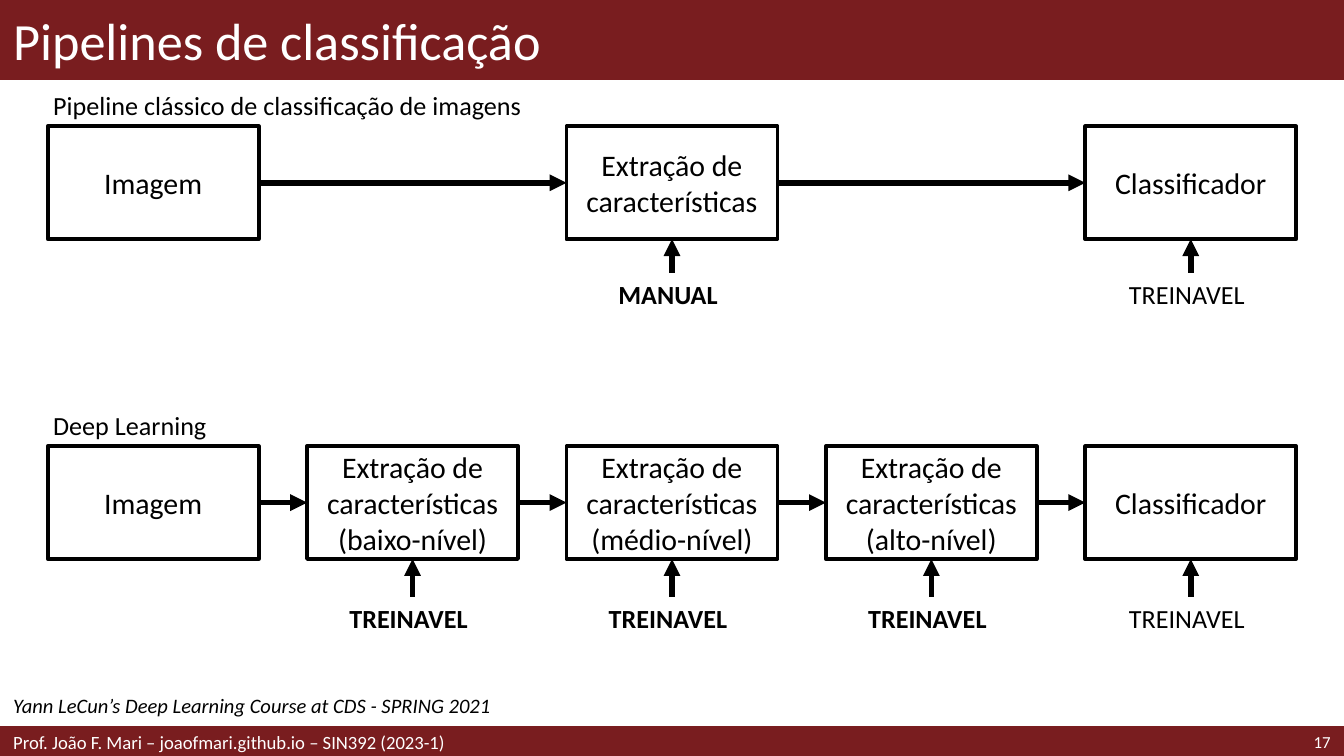
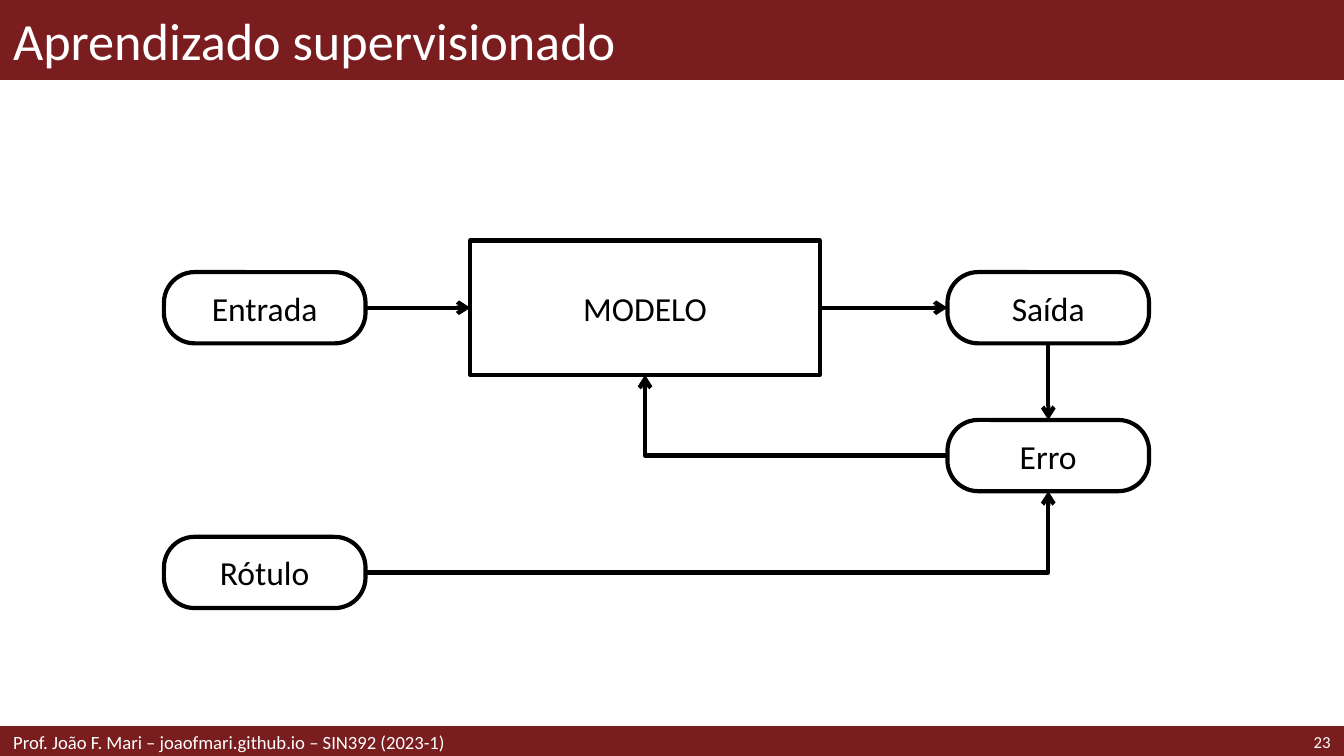
"""Builds two slides on classification pipelines and supervised learning."""
from lxml import etree
from pptx import Presentation
from pptx.dml.color import RGBColor
from pptx.enum.shapes import MSO_CONNECTOR, MSO_SHAPE
from pptx.enum.text import MSO_ANCHOR, PP_ALIGN
from pptx.oxml.ns import qn
from pptx.util import Inches, Pt

RECT, ROUND = MSO_SHAPE.RECTANGLE, MSO_SHAPE.ROUNDED_RECTANGLE
LINE, ELBOW = MSO_CONNECTOR.STRAIGHT, MSO_CONNECTOR.ELBOW
LEFT, MID, RIGHT = PP_ALIGN.LEFT, PP_ALIGN.CENTER, PP_ALIGN.RIGHT
TOP, WEST, BASE, EAST = range(4)
WINE, WHITE, BLACK = "791D1F", "FFFFFF", "000000"
FONT = "Calibri"
WIDE = 10
HIGH = WIDE * 9 / 16
HEAD, FOOT = 0.59, 0.21
rgb = RGBColor.from_string


def box(slide, area, text="", size=16, ink=BLACK, align=MID, kind=None, edge=2, fill=None):
    """Add a text box, or a shape when a kind is given."""
    area = [Inches(n) for n in area]
    if kind is None:
        item = slide.shapes.add_textbox(*area)
    else:
        item = slide.shapes.add_shape(kind, *area)
        item.shadow.inherit = False
        item.line.color.rgb = rgb(fill or BLACK)
        item.line.width = Pt(edge)
        if fill:
            item.fill.solid()
            item.fill.fore_color.rgb = rgb(fill)
        else:
            item.fill.background()
    if text:
        frame = item.text_frame
        frame.word_wrap = True
        frame.vertical_anchor = MSO_ANCHOR.MIDDLE
        frame.text = text
        for para in frame.paragraphs:
            para.alignment = align
            para.font.name, para.font.size = FONT, Pt(size)
            para.font.color.rgb = rgb(ink)
    return item


def link(slide, start, out, end, into, width=3, tip="triangle", kind=LINE):
    """Join a side of one shape to a side of another with an arrow."""
    arrow = slide.shapes.add_connector(kind, 0, 0, 0, 0)
    arrow.begin_connect(start, out)
    arrow.end_connect(end, into)
    arrow.line.color.rgb = rgb(BLACK)
    arrow.line.width = Pt(width)
    props = arrow._element.spPr
    if kind == ELBOW:
        props.find(qn("a:prstGeom")).set("prst", "bentConnector2")
    etree.SubElement(props.find(qn("a:ln")), qn("a:tailEnd"), type=tip)
    etree.SubElement(props, qn("a:effectLst"))


deck = Presentation()
deck.slide_width, deck.slide_height = Inches(WIDE), Inches(HIGH)
pages = []
for title, number in [("Pipelines de classificação", "17"), ("Aprendizado supervisionado", "23")]:
    page = deck.slides.add_slide(deck.slide_layouts[6])
    low = HIGH - FOOT
    box(page, (0, 0, WIDE, HEAD), kind=RECT, edge=1, fill=WINE)
    box(page, (0, low, WIDE, FOOT), kind=RECT, fill=WINE)
    box(page, (0, 0, WIDE, HEAD), title, 28, WHITE, LEFT)
    box(page, (8.86, low, 1.14, FOOT), number, 9, WHITE, RIGHT)
    box(page, (0, low, 6.89, FOOT), "Prof. João F. Mari – joaofmari.github.io – SIN392 (2023-1)",
        10, WHITE, LEFT)
    pages.append(page)
flow, model = pages

STEP, CELL, TALL, NOTE = 1.93, 1.57, 0.84, 0.31
EDGE = (WIDE - 4 * STEP - CELL) / 2
TASK = "Extração de características"
rows = [
    ("Pipeline clássico de classificação de imagens", 0.94, 2.03,
     [(0, "Imagem", ""), (2, TASK, "MANUAL"), (4, "Classificador", "TREINAVEL")]),
    ("Deep Learning", 3.32, 4.44,
     [(0, "Imagem", "")]
     + [(col + 1, f"{TASK}\n({level}-nível)", "TREINAVEL")
        for col, level in enumerate(["baixo", "médio", "alto"])]
     + [(4, "Classificador", "TREINAVEL")]),
]
for name, top, under, stages in rows:
    labels = [box(flow, (EDGE, top - NOTE, 5.51, NOTE), name, 14, align=LEFT)]
    last = None
    for col, text, mode in stages:
        left = EDGE + col * STEP
        stage = box(flow, (left, top, CELL, TALL), text, kind=RECT)
        if last:
            link(flow, last, EAST, stage, WEST)
        if mode:
            label = box(flow, (left, under, CELL, NOTE), mode, 14)
            label.text_frame.paragraphs[0].font.bold = col < 4
            link(flow, label, TOP, stage, BASE)
            labels.append(label)
        last = stage
    for label in labels:
        label.text_frame.margin_left = Inches(0.04)

credit = box(flow, (0, 5.1, WIDE / 2, 0.29),
             "Yann LeCun’s Deep Learning Course at CDS - SPRING 2021", 11, align=LEFT)
credit.text_frame.paragraphs[0].font.italic = True

AXIS, PILL = 2.29, 0.53
core = box(model, (3.5, AXIS - 0.5, 2.6, 1), "MODELO", 18, kind=RECT, edge=2.25)
pills = {}
for text, left, mid in [("Entrada", 1.22, AXIS), ("Saída", 7.05, AXIS),
                        ("Erro", 7.05, 3.39), ("Rótulo", 1.22, 4.26)]:
    pill = box(model, (left, mid - PILL / 2, 1.5, PILL), text, 18, kind=ROUND, edge=2.25)
    pill.adjustments[0] = 0.43
    pills[text] = pill
for start, out, end, into, kind in [
    (pills["Entrada"], EAST, core, WEST, LINE),
    (core, EAST, pills["Saída"], WEST, LINE),
    (pills["Saída"], BASE, pills["Erro"], TOP, LINE),
    (pills["Erro"], WEST, core, BASE, ELBOW),
    (pills["Rótulo"], EAST, pills["Erro"], BASE, ELBOW),
]:
    link(model, start, out, end, into, 2.25, "arrow", kind)

deck.save("out.pptx")
